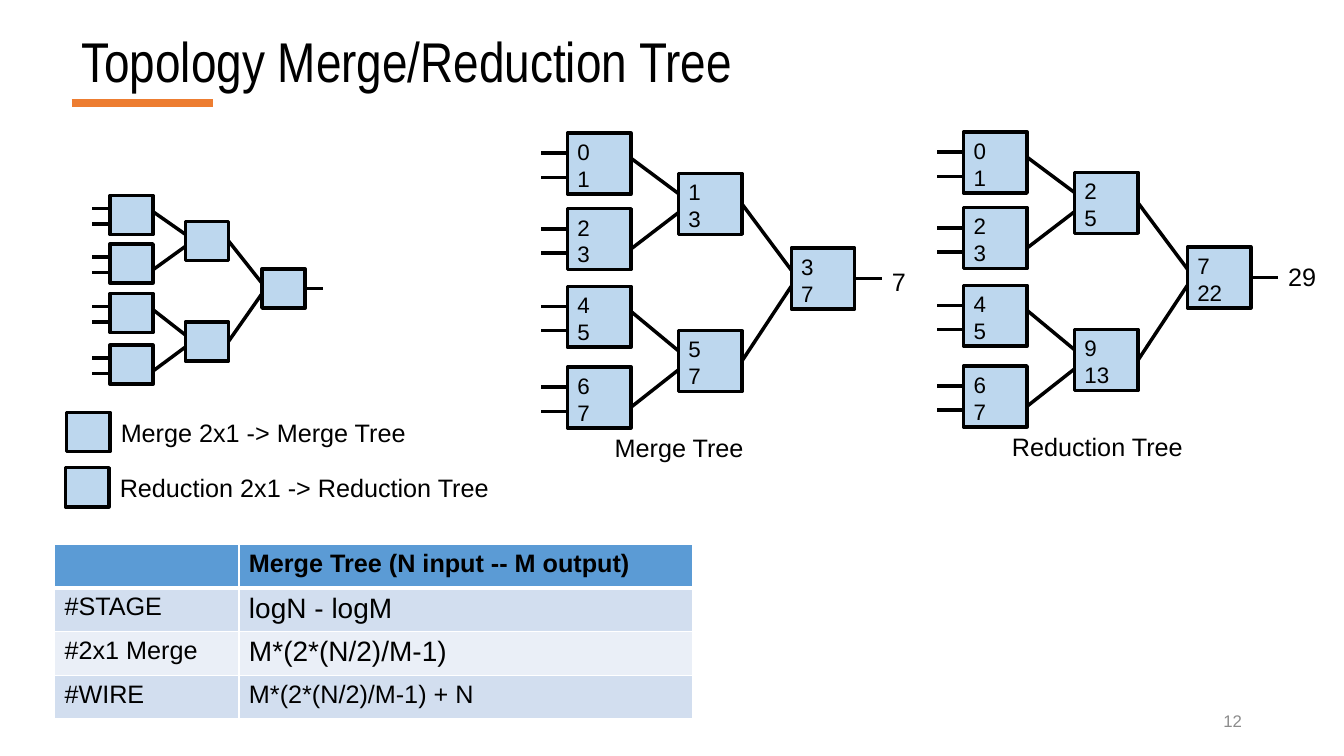
from lxml import etree
from pptx import Presentation
from pptx.dml.color import RGBColor
from pptx.enum.shapes import MSO_CONNECTOR, MSO_SHAPE
from pptx.enum.text import MSO_ANCHOR, PP_ALIGN
from pptx.oxml.ns import qn
from pptx.util import Inches, Pt

TOP, MIDDLE = MSO_ANCHOR.TOP, MSO_ANCHOR.MIDDLE
LEFT, RIGHT = PP_ALIGN.LEFT, PP_ALIGN.RIGHT
STRAIGHT, RECT = MSO_CONNECTOR.STRAIGHT, MSO_SHAPE.RECTANGLE
COLORS = {
    "ink": "000000", "accent": "ED7D31", "node": "BDD7EE", "number": "8C8C8C",
    "header": "5B9BD5", "odd": "D2DEEF", "even": "EAEFF7", "border": "FFFFFF",
}
RGB = {name: RGBColor.from_string(value) for name, value in COLORS.items()}
CELL = Inches(0.1)  # the slide is a grid of 133.3 columns by 75 rows


def write(tf, text, size=18, font="Arial", color="ink", bold=False,
          align=LEFT, anchor=TOP, spacing=1.0):
    """Fill a text frame, one paragraph per line of text."""
    tf.word_wrap = True
    tf.vertical_anchor = anchor
    for i, line in enumerate(text.split("\n")):
        p = tf.paragraphs[0] if i == 0 else tf.add_paragraph()
        p.alignment, p.line_spacing = align, spacing
        r = p.add_run()
        r.text = line
        r.font.size, r.font.name, r.font.bold = Pt(size), font, bold
        r.font.color.rgb = RGB[color]


def add_node(x, y, w, h, text=""):
    sp = s.shapes.add_shape(RECT, *(int(v * CELL) for v in (x, y, w, h)))
    sp.shadow.inherit = False
    sp.fill.solid()
    sp.fill.fore_color.rgb = RGB["node"]
    sp.line.color.rgb = RGB["ink"]
    sp.line.width = Pt(2.5)
    if text:
        write(sp.text_frame, text, size=16)
    return sp


prs = Presentation()
prs.slide_width, prs.slide_height = int(133.33 * CELL), 75 * CELL
s = prs.slides.add_slide(prs.slide_layouts[6])

# Tree plan in grid cells: four leaves, two middle nodes, one root
NODE_W, NODE_H, STUB = 6.3, 6.05, 2.65
plan = [(0, 0), (0, 7.5), (0, 15.2), (0, 23.2), (11, 4), (11, 19.6), (22.2, 11.4)]
root_x, root_y = plan[6]

# Wire: x1, y1, x2, y2, index of the node whose right side it leaves midway
plan_wires = []
for i, (x, y) in enumerate(plan[:4]):
    mid_x, mid_y = plan[4 + i // 2]
    for port in (2, 4.4):
        plan_wires.append((x, y + port, x - STUB, y + port, None))
    plan_wires.append((x + NODE_W, y + (2.5, 4)[i % 2],
                       mid_x, mid_y + (2, 3.9)[i % 2], None))
for i, port in ((4, 2.2), (5, 3.8)):
    x, y = plan[i]
    plan_wires.append((x + NODE_W, y + NODE_H / 2, root_x, root_y + port, i))
out_x, out_y = root_x + NODE_W, root_y + NODE_H / 2
plan_wires.append((out_x, out_y, out_x + STUB, out_y, 6))

LEAVES = ["0\n1", "2\n3", "4\n5", "6\n7"]
trees = [  # left, top, horizontal scale, vertical scale, node texts
    (10.9, 19.4, 0.68, 0.64, [""] * 7),
    (56.3, 13.2, 1, 1, LEAVES + ["1\n3", "5\n7", "3\n7"]),
    (95.6, 13.1, 1, 1, LEAVES + ["2\n5", "9\n13", "7\n22"]),
]
wires = [(7.1, 10.2, 21.1, 10.2, None, "accent", 5.75)]
for left, top, kx, ky, texts in trees:
    nodes = [add_node(left + kx * x, top + ky * y, kx * NODE_W, ky * NODE_H, text)
             for (x, y), text in zip(plan, texts)]
    for x1, y1, x2, y2, source in plan_wires:
        wires.append((left + kx * x1, top + ky * y1, left + kx * x2, top + ky * y2,
                      None if source is None else nodes[source], "ink", 2.5))

for x1, y1, x2, y2, source, color, width in wires:
    c = s.shapes.add_connector(STRAIGHT, *(int(v * CELL) for v in (x1, y1, x2, y2)))
    if source is not None:
        c.begin_connect(source, 3)
    c.line.color.rgb = RGB[color]
    c.line.width = Pt(width)
    etree.SubElement(c._element.spPr, qn("a:effectLst"))

for x, y in ((6.6, 40.9), (6.5, 46.4)):
    add_node(x, y, 4.3, 3.9)

labels = [
    (7.1, 2.6, 115, 7.6, "Topology Merge/Reduction Tree",
     dict(size=40, font="Arial Narrow", anchor=MIDDLE, spacing=0.9)),
    (94.2, 69.5, 30, 4, "12",
     dict(size=12, color="number", align=RIGHT, anchor=MIDDLE)),
    (11, 40.9, 33, 4, "Merge 2x1 -> Merge Tree", {}),
    (10.9, 46.4, 41, 4, "Reduction 2x1 -> Reduction Tree", {}),
    (60, 42.4, 16, 4, "Merge Tree", {}),
    (99.4, 42.3, 20, 4, "Reduction Tree", {}),
    (87.5, 25.9, 4, 4, "7", {}),
    (126.8, 25.4, 5.3, 4, "29", {}),
]
for x, y, w, h, text, style in labels:
    tb = s.shapes.add_textbox(*(int(v * CELL) for v in (x, y, w, h)))
    write(tb.text_frame, text, **style)

rows = [
    ("", "Merge Tree (N input -- M output)", 18),
    ("#STAGE", "logN - logM", 20),
    ("#2x1 Merge", "M*(2*(N/2)/M-1)", 20),
    ("#WIRE", "M*(2*(N/2)/M-1) + N", 18),
]
COL_WIDTHS, ROW_H = (18.3, 45), 4.32
table = s.shapes.add_table(
    len(rows), 2, int(5.4 * CELL), int(54 * CELL),
    int(sum(COL_WIDTHS) * CELL), int(len(rows) * ROW_H * CELL)).table
for column, width in zip(table.columns, COL_WIDTHS):
    column.width = int(width * CELL)
for i, (name, formula, size) in enumerate(rows):
    table.rows[i].height = int(ROW_H * CELL)
    for j, (text, pt) in enumerate(((name, 18), (formula, size))):
        cell = table.cell(i, j)
        if text:
            write(cell.text_frame, text, size=pt, bold=i == 0)
        tc_pr = cell._tc.get_or_add_tcPr()
        for side in "LRTB":
            thick = (i, side) in ((0, "B"), (1, "T"))
            ln = etree.SubElement(tc_pr, qn("a:ln" + side), w=str(Pt(3 if thick else 1)))
            fill = etree.SubElement(ln, qn("a:solidFill"))
            etree.SubElement(fill, qn("a:srgbClr"), val=COLORS["border"])
        cell.fill.solid()
        cell.fill.fore_color.rgb = RGB["header" if i == 0 else "odd" if i % 2 else "even"]

prs.save("out.pptx")
